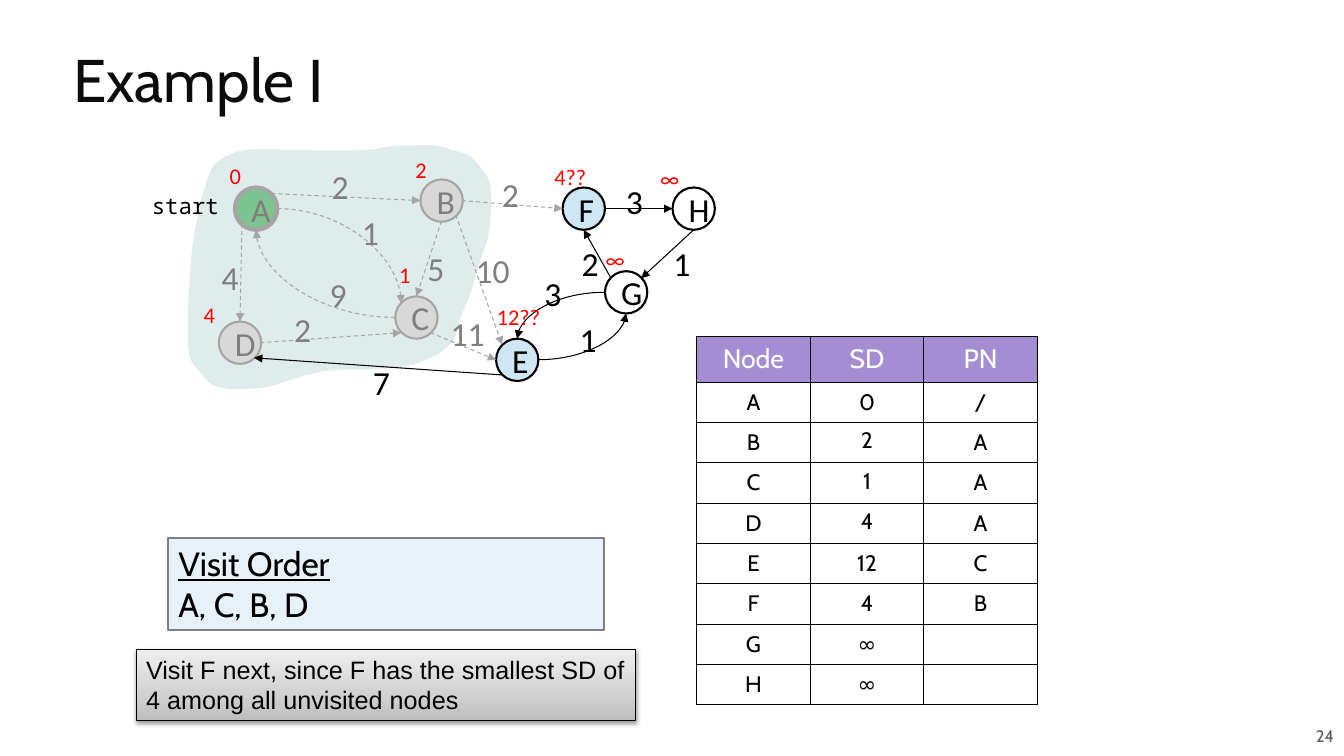
from lxml import etree
from pptx import Presentation
from pptx.dml.color import RGBColor
from pptx.enum import dml, shapes, text
from pptx.oxml import parse_xml
from pptx.oxml.ns import nsdecls, qn
from pptx.util import Inches, Pt

INK = {"black": "000000", "title": "0C0C0C", "page": "595959", "mute": "7F7F7F",
       "edge": "A5A5A5", "red": "FF0000", "white": "FFFFFF", "start": "7DC491",
       "done": "D8D8D8", "seen": "CFE6F6", "zone": "DFECEC", "head": "A48DD3",
       "order": "E7F1FA"}
MID = text.MSO_ANCHOR.MIDDLE
TOP = text.MSO_ANCHOR.TOP
LEFT, MIDDLE, RIGHT = (text.PP_ALIGN.LEFT, text.PP_ALIGN.CENTER, text.PP_ALIGN.RIGHT)
SIZE = 0.42

# name: left, top, fill, is visited
NODES = {"A": (2.33, 1.86, "start", True), "B": (4.17, 1.78, "done", True),
         "D": (2.17, 3.19, "done", True), "C": (3.92, 2.94, "done", True),
         "F": (5.58, 1.86, "seen", False), "H": (6.67, 1.86, None, False),
         "E": (4.92, 3.36, "seen", False), "G": (6, 2.69, None, False)}

# from x, y, to x, y, is visited
CURVES = [(2.75, 2.07, 3.98, 3.01, True), (3.92, 3.15, 2.54, 2.28, True),
          (6, 2.9, 5.13, 3.36, False), (5.33, 3.57, 6.21, 3.11, False)]
LINES = [(2.4, 2.22, 2.38, 3.19, True), (2.58, 3.4, 3.98, 3.3, True),
         (2.69, 1.92, 4.17, 1.99, True), (4.58, 1.99, 5.58, 2.07, True),
         (6, 2.07, 6.67, 2.07, False), (6.06, 2.76, 5.79, 2.28, False),
         (6.88, 2.28, 6.36, 2.76, False), (4.52, 2.13, 4.98, 3.42, True),
         (4.38, 2.19, 4.13, 2.94, True), (4.27, 3.3, 4.92, 3.57, True),
         (4.98, 3.72, 2.52, 3.55, False)]

# text, left, top
MUTED = [("2", 3.19, 1.6), ("2", 4.88, 1.68), ("10", 4.62, 2.43), ("11", 4.37, 3.06),
         ("1", 3.49, 2.05), ("9", 3.17, 2.67), ("2", 2.82, 3.02), ("4", 2.1, 2.5),
         ("5", 4.14, 2.41)]
COSTS = [("3", 6.11, 1.75), ("1", 6.58, 2.36), ("2", 5.67, 2.36), ("3", 5.3, 2.66),
         ("1", 5.65, 3.11), ("7", 3.6, 3.54)]
DISTS = [("2", 4.02, 1.5), ("4??", 5.4, 1.57), ("∞", 6.45, 1.59), ("1", 3.86, 2.54),
         ("4", 1.92, 2.94), ("∞", 5.91, 2.39), ("12??", 4.83, 2.96), ("0", 2.18, 1.56)]

ROWS = [("Node", "SD", "PN"), ("A", "0", "/"), ("B", "2", "A"), ("C", "1", "A"),
        ("D", "4", "A"), ("E", "12", "C"), ("F", "4", "B"), ("G", "∞", ""), ("H", "∞", "")]

ZONE = [(3.57, 1.49), (3.02, 1.49), (2.63, 1.48), (2.43, 1.49), (2.29, 1.53),
        (2.13, 1.63), (2.04, 1.83), (1.97, 2.11), (1.91, 2.43), (1.88, 2.78),
        (1.86, 3.22), (1.88, 3.53), (1.95, 3.65), (2.07, 3.79), (2.17, 3.84),
        (2.34, 3.86), (2.64, 3.84), (2.88, 3.77), (3.12, 3.7), (3.34, 3.67),
        (3.71, 3.66), (4.05, 3.63), (4.22, 3.57), (4.35, 3.51), (4.5, 3.37),
        (4.57, 3.14), (4.67, 2.9), (4.73, 2.69), (4.79, 2.51), (4.85, 2.31),
        (4.87, 2.04), (4.86, 1.82), (4.78, 1.68), (4.66, 1.55), (4.53, 1.5),
        (4.35, 1.45), (4.21, 1.44), (3.89, 1.45), (3.72, 1.48)]


def tint(name):
    return RGBColor.from_string(INK[name])


def write(frame, words, size, ink, face, align=LEFT, anchor=TOP, pad=(0.1, 0.05)):
    frame.text = words
    frame.vertical_anchor = anchor
    frame.margin_left = frame.margin_right = Inches(pad[0])
    frame.margin_top = frame.margin_bottom = Inches(pad[1])
    for para in frame.paragraphs:
        para.alignment = align
        for run in para.runs:
            run.font.size, run.font.name = Pt(size), face
            run.font.color.rgb = tint(ink)


def label(slide, box, words, *style, wrap=True, **more):
    frame = slide.shapes.add_textbox(*map(Inches, box)).text_frame
    frame.word_wrap = wrap
    write(frame, words, *style, **more)
    return frame


def panel(slide, kind, box, fill, line, width):
    shape = slide.shapes.add_shape(kind, *map(Inches, box))
    shape.shadow.inherit = False
    if fill:
        shape.fill.solid()
        shape.fill.fore_color.rgb = tint(fill)
    else:
        shape.fill.background()
    shape.line.color.rgb = tint(line)
    shape.line.width = Pt(width)
    return shape


def zone(slide):
    # Spline through the corner points, in whole EMU
    dots = []
    for i, b in enumerate(ZONE):
        a, c, d = (ZONE[(i + k) % len(ZONE)] for k in (-1, 1, 2))
        for t in (0, 0.25, 0.5, 0.75):
            dots.append([Inches((2 * q + (r - p) * t + (2 * p - 5 * q + 4 * r - s) * t ** 2
                                 + (3 * q - p - 3 * r + s) * t ** 3) / 2)
                         for p, q, r, s in zip(a, b, c, d)])
    path = slide.shapes.build_freeform(*dots[0])
    path.add_line_segments(dots[1:])
    shape = path.convert_to_shape()
    shape.shadow.inherit = False
    shape.fill.solid()
    shape.fill.fore_color.rgb = tint("zone")
    shape.line.fill.background()


def node(slide, name, left, top, fill, done):
    shape = panel(slide, shapes.MSO_SHAPE.OVAL, (left, top, SIZE, SIZE), fill,
                  "edge" if done else "black", 3 if fill == "start" else 1.5)
    write(shape.text_frame, name, 24, "mute" if done else "black", "Calibri", MIDDLE, MID)


def arrow(slide, x1, y1, x2, y2, done, curve=False):
    kind = shapes.MSO_CONNECTOR.CURVE if curve else shapes.MSO_CONNECTOR.STRAIGHT
    link = slide.shapes.add_connector(kind, *map(Inches, (x1, y1, x2, y2)))
    link.line.width = Pt(0.75)
    link.line.color.rgb = tint("edge" if done else "black")
    if done:
        link.line.dash_style = dml.MSO_LINE.DASH
    prop = link._element.spPr
    if curve:
        prop.find(qn("a:prstGeom")).set("prst", "curvedConnector2")
    etree.SubElement(prop.find(qn("a:ln")), qn("a:tailEnd"), type="triangle")
    etree.SubElement(prop, qn("a:effectLst"))


def border(cell):
    prop = cell._tc.get_or_add_tcPr()
    for side in "LRTB":
        prop.append(parse_xml(
            f'<a:ln{side} {nsdecls("a")} w="9525"><a:solidFill>'
            f'<a:srgbClr val="{INK["black"]}"/></a:solidFill></a:ln{side}>'))


def grid(slide):
    table = slide.shapes.add_table(len(ROWS), 3, *map(Inches, (6.91, 3.34, 3.38, 3.65))).table
    for col in table.columns:
        col.width = Inches(3.38 / 3)
    for r, row in enumerate(ROWS):
        table.rows[r].height = Inches(0.4 if r else 0.45)
        for c, words in enumerate(row):
            cell = table.cell(r, c)
            border(cell)
            high = c == 1 and words in ("2", "1") or (r, c) == (4, 1)
            write(cell.text_frame, words, 16 if r else 19, "black" if r else "white",
                  "Cabin", MIDDLE)
            cell.vertical_anchor = TOP if high else MID
            cell.margin_left = cell.margin_right = Inches(0.1 if high else 0.07)
            cell.margin_top = cell.margin_bottom = Inches(0.06 if words and not high else 0.05)
            for run in cell.text_frame.paragraphs[0].runs:
                run.font.bold = False
            if r:
                cell.fill.background()
            else:
                cell.fill.solid()
                cell.fill.fore_color.rgb = tint("head")


def order(slide):
    shape = panel(slide, shapes.MSO_SHAPE.RECTANGLE, (1.67, 5.34, 4.32, 0.91),
                  "order", "mute", 1.5)
    write(shape.text_frame, "Visit Order\nA, C, B, D", 24, "black", "Cabin")
    shape.text_frame.paragraphs[0].runs[0].font.underline = True


def hint(slide):
    shape = panel(slide, shapes.MSO_SHAPE.RECTANGLE, (1.35, 6.44, 4.95, 0.71),
                  None, "black", 0.75)
    write(shape.text_frame, "Visit F next, since F has the smallest SD of 4 among "
          "all unvisited nodes", 18, "black", "Arial")
    # Three-stop gradient and soft shadow
    prop = shape._element.spPr
    stops = "".join(f'<a:gs pos="{pos}000"><a:srgbClr val="{hue}"/></a:gs>'
                    for pos, hue in ((0, "BDBDBD"), (35, "D1D1D1"), (100, "EEEEEE")))
    prop.replace(prop.find(qn("a:noFill")), parse_xml(
        f'<a:gradFill {nsdecls("a")}><a:gsLst>{stops}</a:gsLst>'
        '<a:lin ang="16200000" scaled="0"/></a:gradFill>'))
    prop.find(qn("a:effectLst")).append(parse_xml(
        f'<a:outerShdw {nsdecls("a")} blurRad="{Pt(3.1)}" dist="{Pt(1.6)}" dir="5400000" '
        'rotWithShape="0"><a:srgbClr val="000000"><a:alpha val="38000"/></a:srgbClr>'
        '</a:outerShdw>'))


def main():
    deck = Presentation()
    deck.slide_width, deck.slide_height = Inches(13.33), Inches(7.5)
    slide = deck.slides.add_slide(deck.slide_layouts[6])

    # Page number, visited zone and title
    label(slide, (8.65, 7.1, 4.68, 0.4), "24", 12, "page", "Cabin", RIGHT, MID, (0.1, 0.1))
    zone(slide)
    title = label(slide, (0.63, 0.29, 12.23, 1.11), "Example I", 43, "title", "Cabin",
                  anchor=MID)
    title.paragraphs[0].line_spacing = 0.8

    # Graph
    for name, spot in NODES.items():
        node(slide, name, *spot)
    for ends in CURVES:
        arrow(slide, *ends, curve=True)
    for ends in LINES:
        arrow(slide, *ends)

    # Edge costs and distances
    for group, size, ink, step, tall in ((MUTED, 24, "mute", 0.17, 0.5),
                                         (COSTS, 24, "black", 0.17, 0.5),
                                         (DISTS, 16, "red", 0.11, 0.37)):
        for words, left, top in group:
            wide = 0.36 if words == "∞" else 0.2 + step * len(words)
            label(slide, (left, top, wide, tall), words, size, ink, "Calibri", wrap=False)
    label(slide, (1.24, 1.78, 1.06, 0.52), "start", 16, "black", "Noto Sans Mono",
          RIGHT, pad=(0.13, 0.13))

    # Table and notes
    grid(slide)
    order(slide)
    hint(slide)
    deck.save("out.pptx")


if __name__ == "__main__":
    main()
